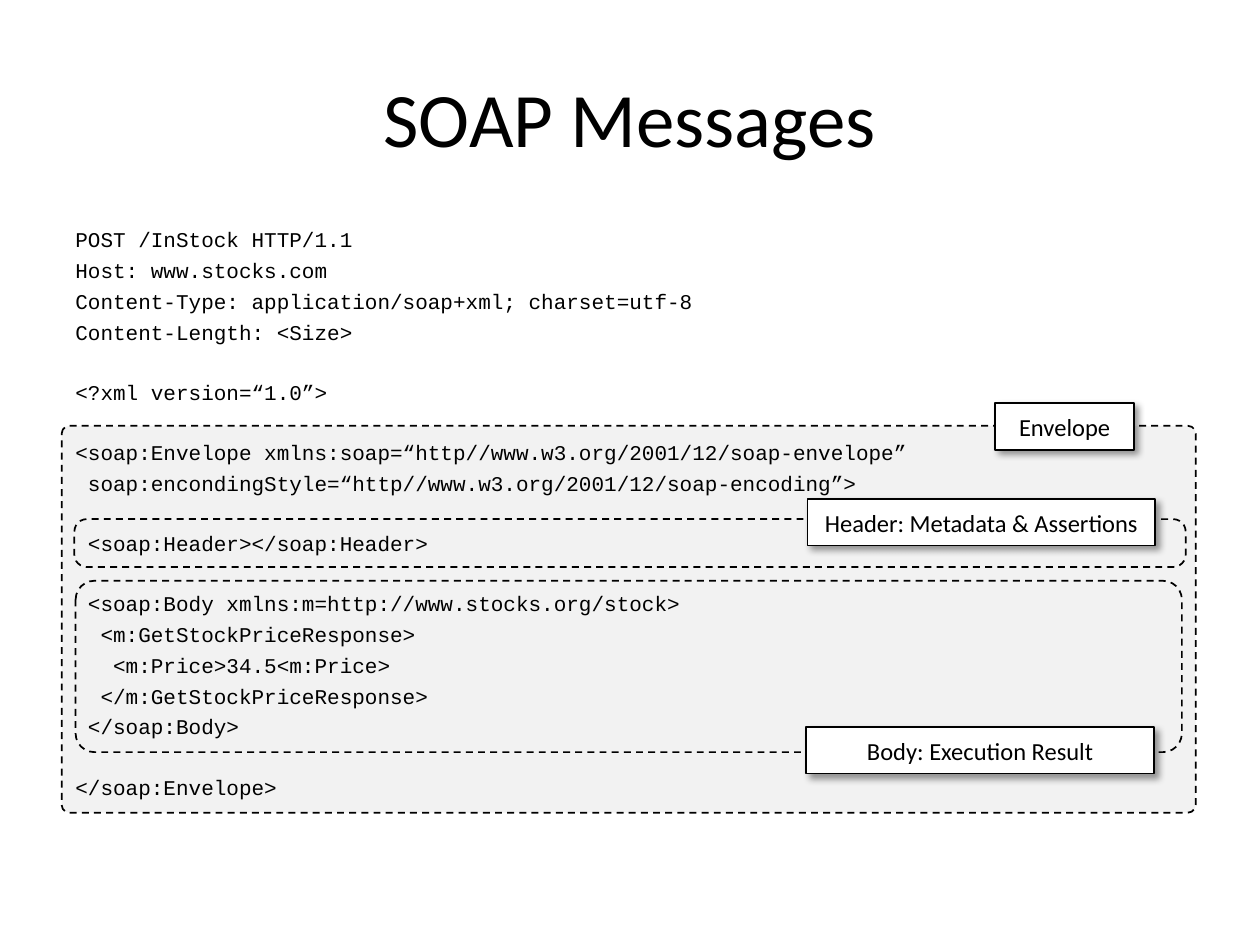
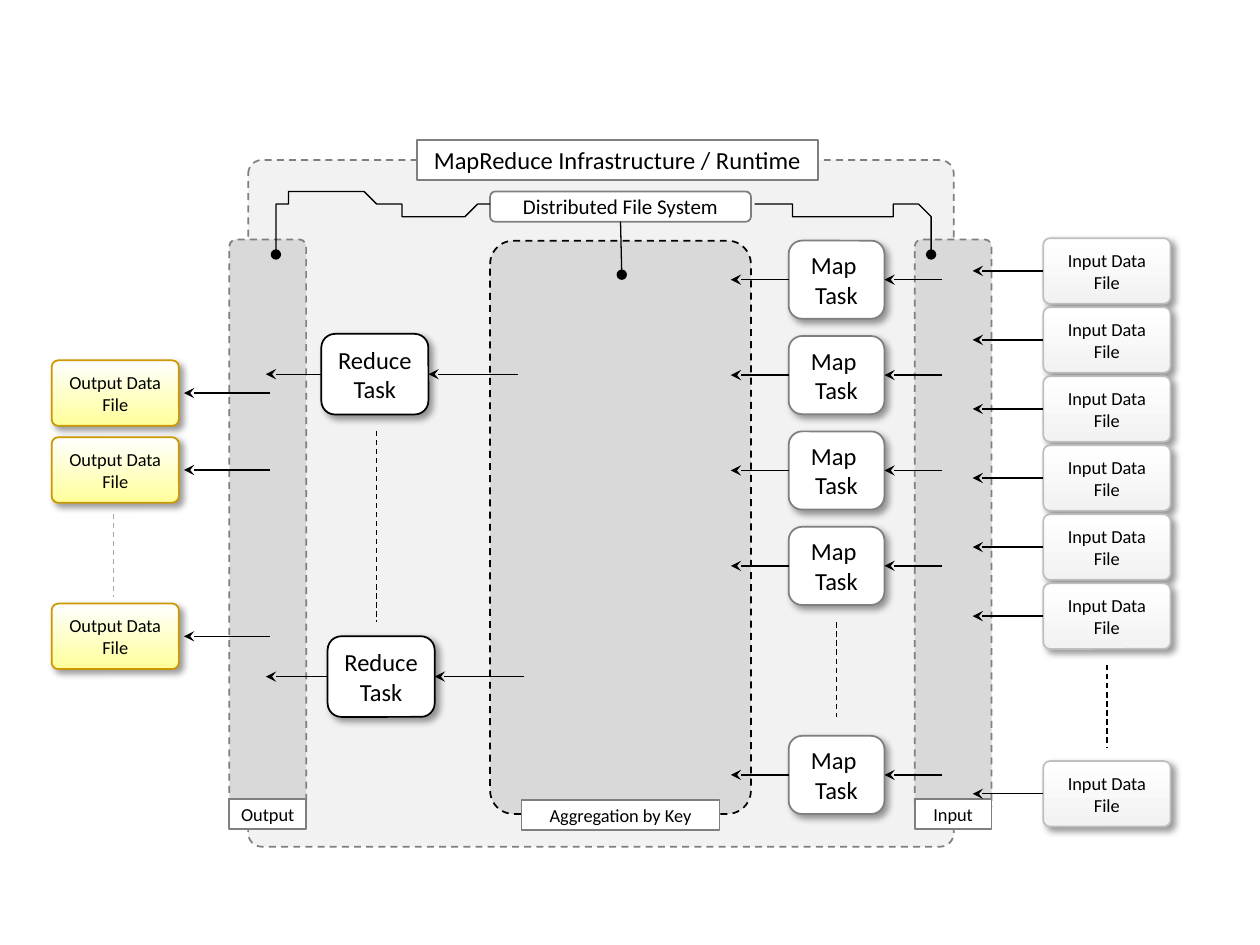
from collections import namedtuple
from pptx import Presentation
from pptx.dml.color import RGBColor
from pptx.enum.dml import MSO_LINE
from pptx.enum.shapes import MSO_CONNECTOR, MSO_SHAPE
from pptx.enum.text import MSO_ANCHOR, PP_ALIGN
from pptx.oxml import parse_xml
from pptx.oxml.ns import nsdecls, qn
from pptx.util import Emu, Inches, Pt

CELL = 91440  # the slide is a grid of 100 columns by 75 rows
BLACK, WHITE, GRAY = "000000", "FFFFFF", "7F7F7F"
PALE, LANE, SILVER = "F2F2F2", "D9D9D9", "BFBFBF"
GOLD, CREAM, FAINT = "CC9900", "FFFF99", "A6A6A6"
SANS, MONO = "Calibri", "Courier New"
TOP, LEFT, BOTTOM, RIGHT = range(4)

Box = namedtuple("Box", "x y w h")

CODE = """POST /InStock HTTP/1.1
Host: www.stocks.com
Content-Type: application/soap+xml; charset=utf-8
Content-Length: <Size>

<?xml version=“1.0”>

<soap:Envelope xmlns:soap=“http//www.w3.org/2001/12/soap-envelope”
 soap:encondingStyle=“http//www.w3.org/2001/12/soap-encoding”>

 <soap:Header></soap:Header>

 <soap:Body xmlns:m=http://www.stocks.org/stock>
  <m:GetStockPriceResponse>
   <m:Price>34.5<m:Price>
  </m:GetStockPriceResponse>
 </soap:Body>

</soap:Envelope>"""


def cells(*values):
    return [Emu(round(v * CELL)) for v in values]


def part(box, x, y, w, h):
    """Box whose place is counted from the corner of another box."""
    return Box(box.x + x, box.y + y, w, h)


def color(code):
    return RGBColor.from_string(code)


def apply(target, values):
    for name, value in values.items():
        setattr(target, name, value)


def set_font(para, size, face=SANS):
    apply(para.font, {"size": Pt(size), "name": face})
    para.font.color.rgb = color(BLACK)


def set_line(line, code, width=1, dash=False):
    line.color.rgb = color(code)
    line.width = Pt(width)
    if dash:
        line.dash_style = MSO_LINE.DASH


def set_end(shape, kind):
    shape.line._get_or_add_ln().append(
        parse_xml(f'<a:tailEnd {nsdecls("a")} type="{kind}"/>'))


def cast_shadow(shape):
    shape._element.spPr.find(qn("a:effectLst")).append(parse_xml(
        f'<a:outerShdw {nsdecls("a")} blurRad="50800" dist="38100" '
        'dir="2700000" algn="tl" rotWithShape="0"><a:srgbClr val="000000">'
        '<a:alpha val="40000"/></a:srgbClr></a:outerShdw>'))


def set_fill(fill, code):
    """A pair of colours makes a gradient from top to bottom."""
    if isinstance(code, str):
        fill.solid()
        fill.fore_color.rgb = color(code)
        return
    fill.gradient()
    fill.gradient_angle = 270
    for stop, tone, place in zip(fill.gradient_stops, code, (0, 1)):
        stop.color.rgb = color(tone)
        stop.position = place


def panel(slide, box, fill=WHITE, line=GRAY, dash=False, bend=None,
          shadow=False, text="", size=14, pad=0.1):
    """Rectangle, or rounded one if bend is given, with centred text."""
    kind = MSO_SHAPE.RECTANGLE if bend is None else MSO_SHAPE.ROUNDED_RECTANGLE
    shape = slide.shapes.add_shape(kind, *cells(*box))
    if bend is not None:
        shape.adjustments[0] = bend
    shape.shadow.inherit = False
    set_fill(shape.fill, fill)
    set_line(shape.line, line, dash=dash)
    if shadow:
        cast_shadow(shape)
    if text:
        frame = shape.text_frame
        frame.text = text
        apply(frame, {"word_wrap": True, "vertical_anchor": MSO_ANCHOR.MIDDLE,
                      "margin_left": Inches(pad), "margin_right": Inches(pad),
                      "margin_top": 0, "margin_bottom": 0})
        for para in frame.paragraphs:
            para.alignment = PP_ALIGN.CENTER
            set_font(para, size)
    return shape


def wire(slide, start, end, tail="stealth", code=BLACK, dash=False):
    line = slide.shapes.add_connector(
        MSO_CONNECTOR.STRAIGHT, *cells(*start, *end))
    set_line(line.line, code, 0.75, dash)
    if tail:
        set_end(line, tail)
    line._element.spPr.append(parse_xml(f'<a:effectLst {nsdecls("a")}/>'))
    return line


def dots(slide, box, x, top, end, code=BLACK):
    """Dashed upright line that stands for the items left out."""
    wire(slide, (box.x + x, box.y + top), (box.x + x, box.y + end),
         None, code, True)


def curve(slide, box, start, *bends):
    """Chain of cubic curves, with a dot at its end."""
    points, last = [], start
    for one, two, end in bends:
        for step in range(1, 13):
            t = step / 12
            u = 1 - t
            points.append(tuple(
                u**3 * a + 3 * u * u * t * b + 3 * u * t * t * c + t**3 * d
                for a, b, c, d in zip(last, one, two, end)))
        last = end
    form = slide.shapes.build_freeform(*start, scale=CELL)
    form.add_line_segments(points, close=False)
    shape = form.convert_to_shape(*cells(box.x, box.y))
    shape.fill.background()
    shape.shadow.inherit = False
    set_line(shape.line, BLACK, 0.75)
    set_end(shape, "oval")


def set_title(slide, box, text):
    title = slide.shapes.title
    apply(title, dict(zip(("left", "top", "width", "height"), cells(*box))))
    title.text_frame.text = text
    title.text_frame.vertical_anchor = MSO_ANCHOR.MIDDLE
    para = title.text_frame.paragraphs[0]
    para.alignment = PP_ALIGN.CENTER
    set_font(para, 44)


def listing(slide, box, code):
    """Code in which each empty line becomes space before the next one."""
    frame = slide.shapes.add_textbox(*cells(*box)).text_frame
    frame.word_wrap = True
    para, gap = frame.paragraphs[0], 0
    for row in code.split("\n"):
        if not row:
            gap += 16.8
            continue
        if para.text:
            para = frame.add_paragraph()
            para.space_before = Pt(gap + 3.2)
        para.text = row
        set_font(para, 12, MONO)
        gap = 0


def envelope(slide, box):
    look = {"fill": PALE, "line": BLACK, "dash": True}
    panel(slide, box, bend=0.02, **look)
    panel(slide, part(box, 1, 7.4, 88.2, 3.8), bend=0.26, **look)
    panel(slide, part(box, 1.1, 12.3, 87.8, 13.6), bend=0.11, **look)
    listing(slide, part(box, 0.1, -16.3, 90, 47.4), CODE)
    for text, x, y, w in (("Envelope", 74.1, -1.8, 11),
                          ("Header: Metadata & Assertions", 59.2, 5.8, 27.6),
                          ("Body: Execution Result", 59.1, 23.9, 27.6)):
        panel(slide, part(box, x, y, w, 3.7), line=BLACK, shadow=True, text=text)


def runtime(slide, box):
    panel(slide, box, PALE, dash=True, bend=0.02)
    panel(slide, part(box, 13.4, -1.6, 31.8, 3.2),
          text="MapReduce Infrastructure / Runtime")


def lane(slide, box, text, wide, line=GRAY):
    panel(slide, box, LANE, line, True, 0.09)
    panel(slide, part(box, (box.w - wide) / 2, 44.4, wide, 2.4),
          text=text, size=10.5, pad=0.05)


def stack(slide, box, tops, high, text, **look):
    return [panel(slide, part(box, 0, top, box.w, high), text=text,
                  shadow=True, **look) for top in tops]


def middles(box, tops, high):
    return [box.y + top + high / 2 for top in tops]


def maps(slide, box):
    tops, high = [7.57 * i for i in range(4)] + [39.3], 6.2
    tasks = stack(slide, box, tops, high, "Map \nTask", bend=0.17)
    edge = box.x + box.w
    for task, y in zip(tasks, middles(box, tops, high)):
        wire(slide, (box.x, y), (box.x - 4.6, y)).begin_connect(task, LEFT)
        wire(slide, (edge + 4.6, y), (edge, y)).end_connect(task, RIGHT)
    dots(slide, box, box.w / 2, 30.3, 37.8)


def reduces(slide, box):
    for x, top in ((0, 0), (0.5, 24)):
        spot = part(box, x, top, box.w, 6.4)
        task = panel(slide, spot, line=BLACK, bend=0.17, shadow=True,
                     text="Reduce\nTask")
        y, edge = spot.y + spot.h / 2, spot.x + spot.w
        wire(slide, (edge + 7.1, y), (edge, y)).end_connect(task, RIGHT)
        wire(slide, (spot.x, y), (box.x - 4.4, y)).begin_connect(task, LEFT)
    dots(slide, box, 4.4, 7.7, 22.9)


def inputs(slide, box):
    tops, high = [5.48 * i for i in range(6)] + [41.5], 5.2
    files = stack(slide, box, tops, high, "Input Data File", size=10.5,
                  fill=(WHITE, PALE), line=SILVER, bend=0.1)
    for file, y in zip(files, middles(box, tops, high)):
        wire(slide, (box.x, y), (box.x - 5.6, y)).begin_connect(file, LEFT)
    dots(slide, box, box.w / 2, 33.9, 40.5)


def outputs(slide, box):
    tops, high = (0, 6.1, 19.3), 5.2
    stack(slide, box, tops, high, "Output Data File", size=10.5,
          fill=(WHITE, CREAM), line=GOLD, bend=0.1)
    edge = box.x + box.w
    for y in middles(box, tops, high):
        wire(slide, (edge + 7.2, y), (edge + 0.4, y))
    dots(slide, box, 4.9, 12.2, 18.8, FAINT)


def storage(slide, box):
    """File system tag with its lines to the three lanes."""
    tag = panel(slide, box, bend=0.17, text="Distributed File System", size=12)
    curve(slide, box, (20.8, 1.1),
          ((23.8, 1.5), (26.7, 1.8), (29, 1.9)),
          ((31.3, 1.9), (33.4, 0.9), (34.4, 1.4)),
          ((35.5, 2), (35.4, 3.5), (35.3, 5)))
    curve(slide, box, (0.2, 1.1),
          ((-1.7, 1.6), (-3.7, 2.1), (-5.6, 2)),
          ((-7.4, 1.8), (-9.1, 0.3), (-10.9, 0.1)),
          ((-12.6, -0.2), (-15, -0.6), (-16.1, 0.3)),
          ((-17.2, 1.1), (-17.3, 3.1), (-17.3, 5)))
    mid = box.x + box.w / 2
    wire(slide, (mid, box.y + box.h), (mid + 0.1, box.y + 6.6),
         "oval").begin_connect(tag, BOTTOM)


def soap(deck):
    slide = deck.slides.add_slide(deck.slide_layouts[5])
    set_title(slide, Box(5, 3, 90, 12.5), "SOAP Messages")
    envelope(slide, Box(4.9, 33.8, 90, 30.7))


def flow(deck):
    slide = deck.slides.add_slide(deck.slide_layouts[6])
    runtime(slide, Box(19.7, 12.7, 56, 54.5))
    lane(slide, Box(38.9, 19.1, 20.7, 45.5), "Aggregation by Key", 15.7, BLACK)
    lane(slide, Box(18.2, 19, 6.1, 45.5), "Output", 6.1)
    lane(slide, Box(72.6, 19, 6.1, 45.5), "Input", 6.1)
    maps(slide, Box(62.6, 19.1, 7.6, 45.5))
    reduces(slide, Box(25.5, 26.5, 8.5, 30.4))
    inputs(slide, Box(82.8, 18.9, 10.1, 46.7))
    outputs(slide, Box(4.1, 28.6, 10.1, 24.5))
    storage(slide, Box(38.9, 15.2, 20.7, 2.4))


def main():
    deck = Presentation()
    deck.slide_width, deck.slide_height = cells(100, 75)
    soap(deck)
    flow(deck)
    deck.save("out.pptx")


if __name__ == "__main__":
    main()
